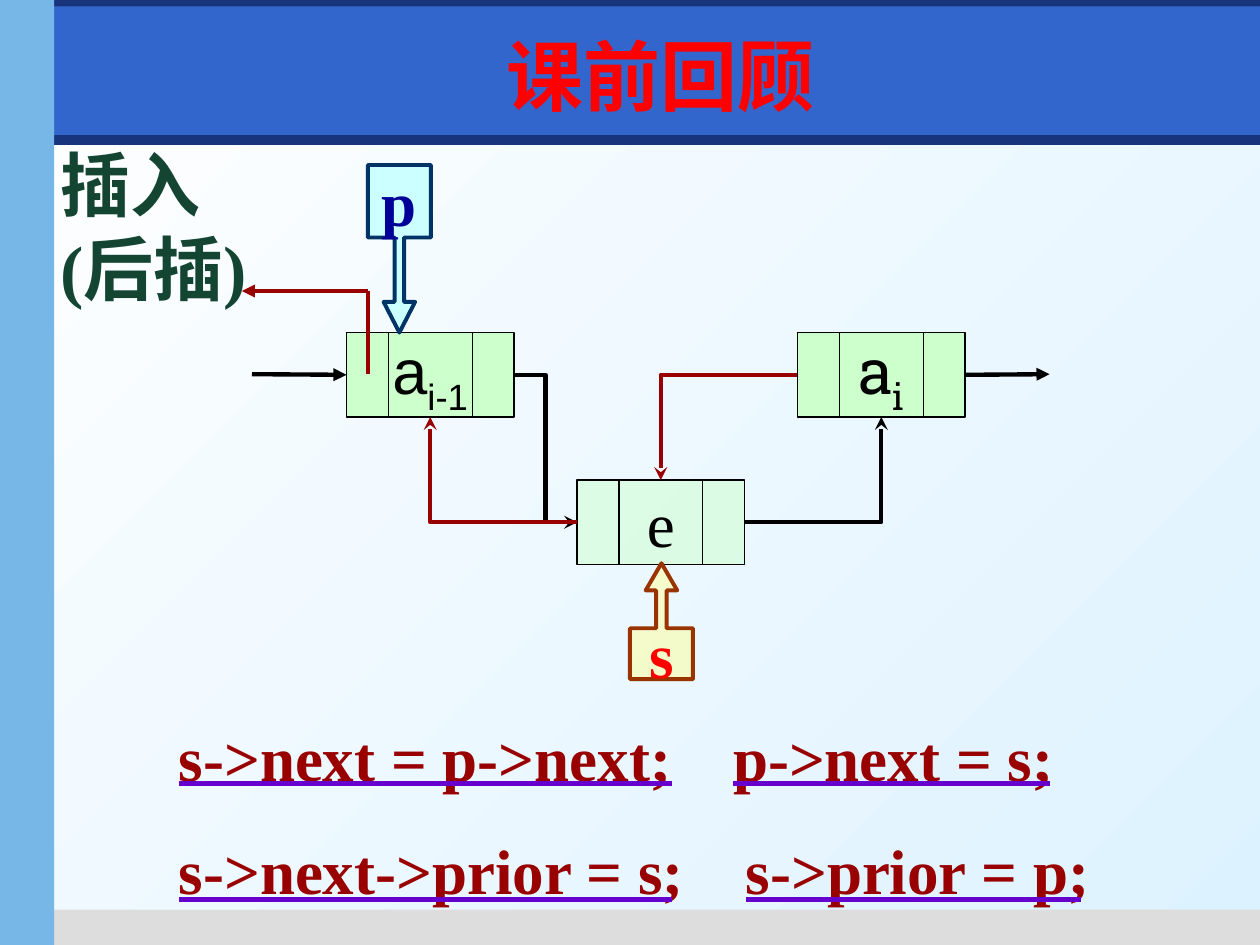
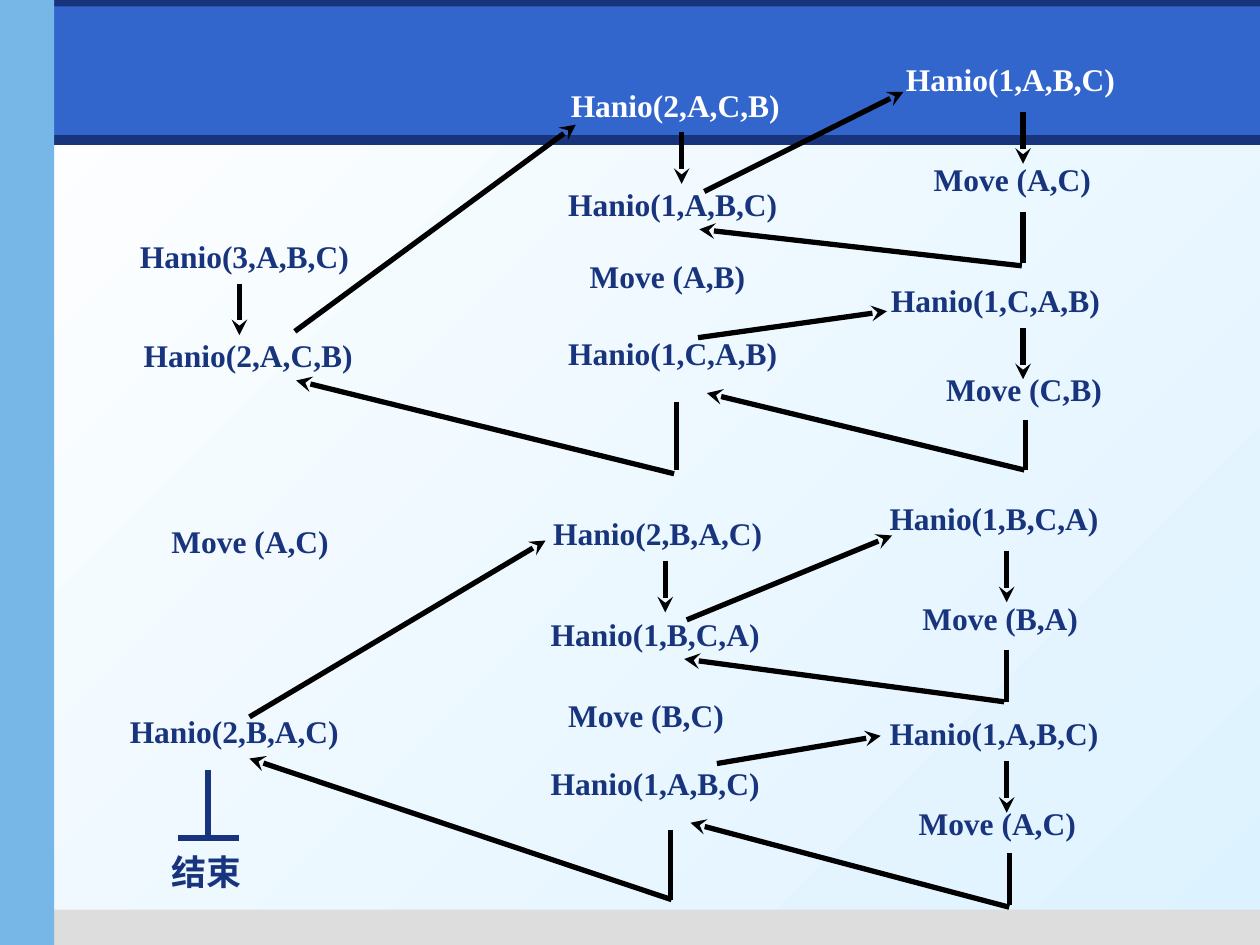
from lxml import etree
from pptx import Presentation
from pptx.dml.color import RGBColor
from pptx.enum.shapes import MSO_CONNECTOR, MSO_SHAPE
from pptx.enum.text import MSO_ANCHOR, PP_ALIGN
from pptx.oxml.ns import qn
from pptx.util import Inches, Pt

STRAIGHT, ELBOW = MSO_CONNECTOR.STRAIGHT, MSO_CONNECTOR.ELBOW
RECTANGLE = MSO_SHAPE.RECTANGLE
DOWN_CALLOUT, UP_CALLOUT = MSO_SHAPE.DOWN_ARROW_CALLOUT, MSO_SHAPE.UP_ARROW_CALLOUT
MIDDLE, CENTER, JUSTIFY = MSO_ANCHOR.MIDDLE, PP_ALIGN.CENTER, PP_ALIGN.JUSTIFY
TOP, LEFT, BOTTOM, RIGHT = range(4)
SERIF = "Times New Roman"

COLORS = {
    "white": "FFFFFF", "sky": "DDF2FF", "navy": "17347D", "gray": "DDDDDD",
    "blue": "3366CC", "side": "77B7E7", "red": "FF0000", "black": "000000",
    "dark_red": "990000", "purple": "6600CC", "node": "CCFFCC", "green": "134532",
    "p_fill": "CCFFFF", "p_line": "003366", "p_text": "000099",
    "s_fill": "FFFF99", "s_line": "993300",
}

BANDS = [
    ((0.04, 1.07, 9.96, 0.08), "navy"),
    ((0.35, 7.22, 9.65, 0.28), "gray"),
    ((0, 0, 10, 0.21), "navy"),
    ((0.43, 0.05, 9.57, 1.02), "blue"),
    ((0, 0, 0.43, 7.5), "side"),
]

TITLE = "课前回顾"
OPERATION = ["插入", "(后插)"]
NODE_SIZE = (1.33, 0.67)
NODES = {
    "previous": {"place": (2.75, 2.64), "text": ("a", "i-1"), "font": "Arial", "alpha": 100},
    "next": {"place": (6.33, 2.64), "text": ("a", "i"), "font": "Roboto Slab", "alpha": 100},
    "new": {"place": (4.58, 3.81), "text": ("e", ""), "font": SERIF, "alpha": 50},
}
POINTERS = [
    ("p", DOWN_CALLOUT, (2.92, 1.31, 0.5, 1.33), (0.15, 0.25, 0.486, 0.433),
     "p_fill", "p_line", "p_text", 100),
    ("s", UP_CALLOUT, (5, 4.47, 0.5, 0.92), (0.167, 0.25, 0.431, 0.439),
     "s_fill", "s_line", "red", 50),
]
NODE_LINKS = [
    ("previous", RIGHT, "new", LEFT, "bentConnector3", "black"),
    ("new", RIGHT, "next", BOTTOM, "bentConnector2", "black"),
    ("next", LEFT, "new", TOP, "bentConnector2", "dark_red"),
    ("new", LEFT, "previous", BOTTOM, "bentConnector2", "dark_red"),
]
CODE_LEFT = 1.42
CODE_ROWS = [
    ("s->next = p->next;", "p->next = s;", 5.82, 8.33, 6.22),
    ("s->next->prior = s;", "s->prior = p;", 5.92, 8.58, 7.14),
]

CALL_SIZE, MOVE_SIZE = (1.69, 0.35), (1.48, 0.39)
LABELS = [
    ("Hanio(3,A,B,C)", 1.11, 1.88), ("Hanio(2,A,C,B)", 1.14, 2.67),
    ("Move (A,C)", 1.36, 4.14), ("Hanio(2,B,A,C)", 1.03, 5.65),
    ("Hanio(2,A,C,B)", 4.53, 0.68), ("Hanio(1,A,B,C)", 4.51, 1.47),
    ("Move (A,B)", 4.68, 2.04), ("Hanio(1,C,A,B)", 4.51, 2.65),
    ("Hanio(2,B,A,C)", 4.39, 4.08), ("Hanio(1,B,C,A)", 4.37, 4.88),
    ("Move (B,C)", 4.51, 5.52), ("Hanio(1,A,B,C)", 4.37, 6.06),
    ("Hanio(1,A,B,C)", 7.19, 0.48), ("Move (A,C)", 7.41, 1.27),
    ("Hanio(1,C,A,B)", 7.07, 2.23), ("Move (C,B)", 7.51, 2.94),
    ("Hanio(1,B,C,A)", 7.06, 3.96), ("Move (B,A)", 7.32, 4.75),
    ("Hanio(1,A,B,C)", 7.06, 5.67), ("Move (A,C)", 7.29, 6.38),
]
STEP_LENGTH = 0.41
STEPS = [(1.9, 2.25), (5.41, 1.05), (8.12, 0.89), (8.12, 2.6),
         (5.28, 4.45), (7.99, 4.37), (7.99, 6.04)]
CALLS = [
    (2.34, 2.63, 4.57, 0.99), (5.59, 1.52, 7.17, 0.73), (5.54, 2.68, 7.04, 2.47),
    (1.98, 5.69, 4.33, 4.29), (5.45, 4.92, 7.08, 4.25), (5.69, 6.06, 6.99, 5.84),
]
RETURNS = [
    ((8.12, 1.68, 8.12, 2.09), (8.11, 2.11, 5.55, 1.82)),
    ((8.14, 3.33, 8.14, 3.73), (8.13, 3.73, 5.61, 3.12)),
    ((5.37, 3.19, 5.37, 3.73), (5.35, 3.76, 2.35, 3.02)),
    ((7.99, 5.16, 7.99, 5.57), (7.97, 5.57, 5.43, 5.23)),
    ((8.01, 6.77, 8.01, 7.18), (8.01, 7.2, 5.48, 6.53)),
    ((5.32, 6.59, 5.32, 7.14), (5.33, 7.14, 1.98, 6.02)),
]
END_LABEL = "结束"
END_LINES = [(1.41, 6.65, 1.9, 6.65), (1.65, 6.11, 1.65, 6.65)]


def rgb(name):
    return RGBColor.from_string(COLORS[name])


def add_run(paragraph, text, size, color, font=SERIF, bold=True):
    run = paragraph.add_run()
    run.text = text
    for attribute, value in {"size": Pt(size), "name": font, "bold": bold}.items():
        setattr(run.font, attribute, value)
    run.font.color.rgb = rgb(color)
    return run


def add_shape(slide, kind, box, fill, line=None, width=0.75, alpha=100):
    shape = slide.shapes.add_shape(kind, *map(Inches, box))
    shape.shadow.inherit = False
    shape.fill.solid()
    shape.fill.fore_color.rgb = rgb(fill)
    if alpha < 100:
        color = shape.element.spPr.find(qn("a:solidFill"))[0]
        etree.SubElement(color, qn("a:alpha"), val=str(alpha * 1000))
    if line:
        shape.line.color.rgb = rgb(line)
        shape.line.width = Pt(width)
    else:
        shape.line.fill.background()
    frame = shape.text_frame
    frame.vertical_anchor = MIDDLE
    frame.word_wrap = False
    frame.paragraphs[0].alignment = CENTER
    return shape


def add_line(slide, points, color="black", width=3.0, arrow=None, kind=STRAIGHT):
    line = slide.shapes.add_connector(kind, *map(Inches, points))
    line.line.color.rgb = rgb(color)
    line.line.width = Pt(width)
    properties = line.element.spPr
    if arrow:
        etree.SubElement(properties.find(qn("a:ln")), qn("a:tailEnd"), type=arrow)
    etree.SubElement(properties, qn("a:effectLst"))
    return line


def add_text(slide, box, inset=None):
    frame = slide.shapes.add_textbox(*map(Inches, box)).text_frame
    frame.word_wrap = True
    if inset is not None:
        for side in ("left", "top", "right", "bottom"):
            setattr(frame, f"margin_{side}", Inches(inset))
    return frame


def next_paragraph(frame, index):
    return frame.paragraphs[0] if index == 0 else frame.add_paragraph()


def style_master(presentation, slide):
    master = presentation.slide_master
    fill = master.background.fill
    fill.gradient()
    fill.gradient_angle = 315
    for stop, name in zip(fill.gradient_stops, ("white", "sky")):
        stop.color.rgb = rgb(name)
    tree = master.shapes.element
    for position, (box, color) in enumerate(BANDS, start=2):
        tree.insert(position, add_shape(slide, RECTANGLE, box, color).element)


def add_node(slide, place, text, font, alpha):
    left, top = place
    width, height = NODE_SIZE
    node = add_shape(slide, RECTANGLE, (*place, *NODE_SIZE), "node", "black", alpha=alpha)
    paragraph = node.text_frame.paragraphs[0]
    letter, subscript = text
    add_run(paragraph, letter, 36, "black", font, False)
    if subscript:
        run = add_run(paragraph, subscript, 36, "black", font, False)
        run.font._element.set("baseline", "-25000")
    for share in (0.25, 0.75):
        x = left + share * width
        add_line(slide, (x, top, x, top + height), width=0.75)
    return node


def build_insertion(slide):
    title = slide.shapes.title
    title.left, title.top, title.width, title.height = map(Inches, (0.64, 0.16, 9.21, 0.87))
    title.text_frame.vertical_anchor = MIDDLE
    paragraph = title.text_frame.paragraphs[0]
    paragraph.alignment = CENTER
    add_run(paragraph, TITLE, 44, "red", "DejaVu Sans")

    frame = add_text(slide, (0.38, 1.07, 1.7, 1.45))
    for index, text in enumerate(OPERATION):
        add_run(next_paragraph(frame, index), text, 40, "green")

    nodes = {name: add_node(slide, **node) for name, node in NODES.items()}
    for text, kind, box, adjustments, fill, line, color, alpha in POINTERS:
        pointer = add_shape(slide, kind, box, fill, line, 2.25, alpha)
        for index, value in enumerate(adjustments):
            pointer.adjustments[index] = value
        add_run(pointer.text_frame.paragraphs[0], text, 36, color)

    incoming = add_line(slide, (2, 2.97, 2.75, 2.97), width=2.5, arrow="triangle")
    incoming.end_connect(nodes["previous"], LEFT)
    outgoing = add_line(slide, (7.67, 2.97, 8.33, 2.97), width=2.5, arrow="triangle")
    outgoing.begin_connect(nodes["next"], RIGHT)
    add_line(slide, (2.92, 2.97, 2.92, 2.31), "dark_red", 2.5)
    add_line(slide, (2.92, 2.31, 1.92, 2.31), "dark_red", 2.5, "triangle")
    for start, start_side, end, end_side, bend, color in NODE_LINKS:
        link = add_line(slide, (0, 0, 1, 1), color, 2.5, "stealth", ELBOW)
        link.begin_connect(nodes[start], start_side)
        link.end_connect(nodes[end], end_side)
        link.element.spPr.find(qn("a:prstGeom")).set("prst", bend)

    frame = add_text(slide, (CODE_LEFT - 0.1, 5.35, 7.6, 1.9))
    for index, (first, second, middle, right, y) in enumerate(CODE_ROWS):
        paragraph = next_paragraph(frame, index)
        tabs = etree.SubElement(paragraph._p.get_or_add_pPr(), qn("a:tabLst"))
        etree.SubElement(tabs, qn("a:tab"), pos=str(Inches(middle - CODE_LEFT)), algn="l")
        paragraph.line_spacing = 1.5
        add_run(paragraph, f"{first}\t{second}", 36, "dark_red")
        for start, end in ((CODE_LEFT, 5.33), (middle, right)):
            add_line(slide, (start, y, end, y), "purple")


def build_call_tree(slide):
    for text, left, top in LABELS:
        size = MOVE_SIZE if text.startswith("Move") else CALL_SIZE
        paragraph = add_text(slide, (left, top, *size), 0).paragraphs[0]
        paragraph.alignment = JUSTIFY
        add_run(paragraph, text, 18, "white" if top < 1 else "navy")
    for x, y in STEPS:
        add_line(slide, (x, y, x, y + STEP_LENGTH), arrow="stealth")
    for points in CALLS:
        add_line(slide, points, arrow="stealth")
    for stem, back in RETURNS:
        add_line(slide, stem)
        add_line(slide, back, arrow="stealth")
    for points in END_LINES:
        add_line(slide, points, "navy")
    frame = add_text(slide, (1.36, 6.75, 0.64, 0.33), 0)
    add_run(frame.paragraphs[0], END_LABEL, 20, "navy")


def main():
    presentation = Presentation()
    presentation.slide_width, presentation.slide_height = Inches(10), Inches(7.5)
    insertion = presentation.slides.add_slide(presentation.slide_layouts[5])
    style_master(presentation, insertion)
    build_insertion(insertion)
    build_call_tree(presentation.slides.add_slide(presentation.slide_layouts[6]))
    presentation.save("out.pptx")


if __name__ == "__main__":
    main()
